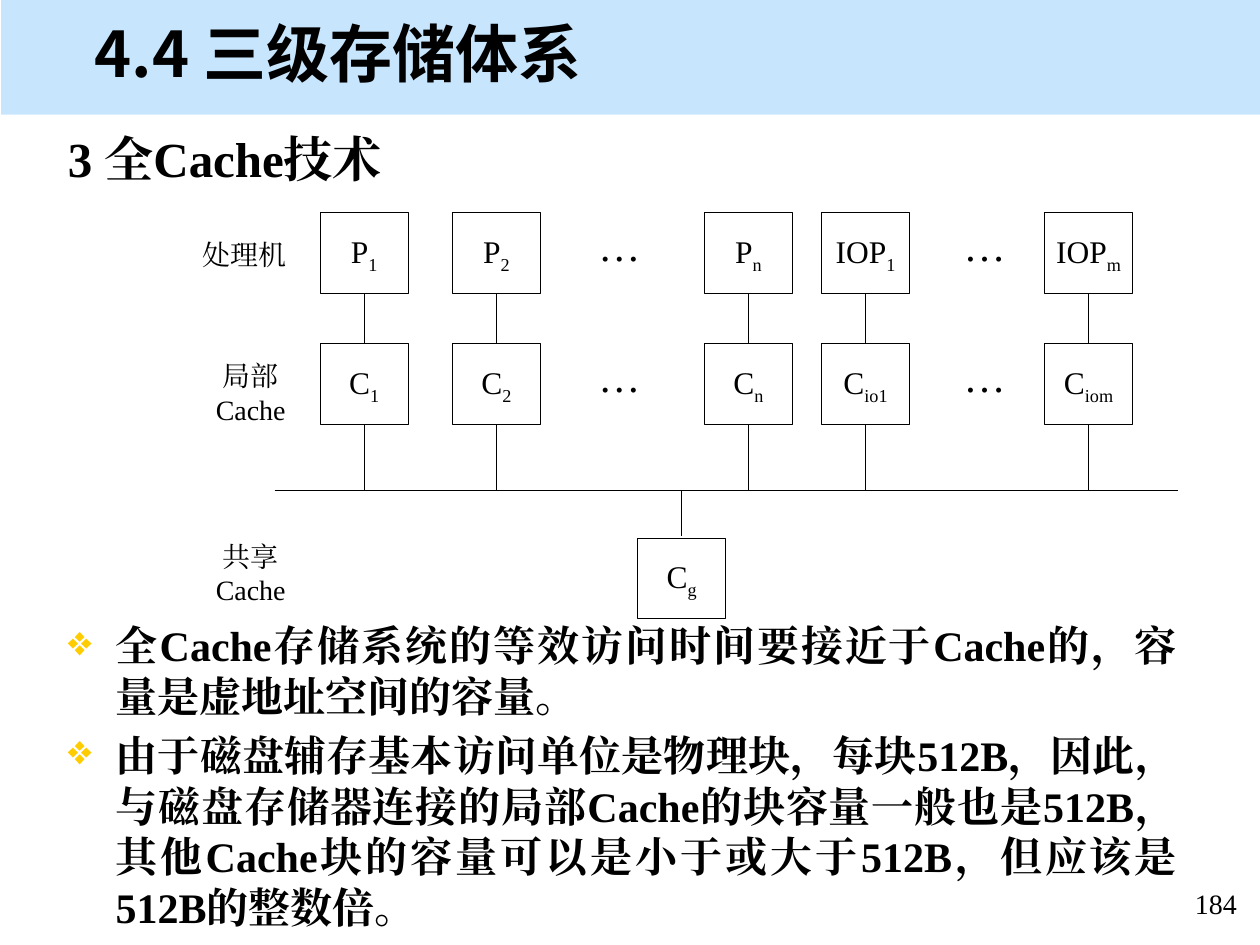
"""Build the slide on the all-cache technique in a three-level memory system."""
import pptx
import pptx.dml.color
import pptx.enum.lang
import pptx.enum.shapes
import pptx.enum.text
import pptx.oxml
import pptx.oxml.ns
import pptx.util
from pptx.util import Inches

SERIF = "Times New Roman"
SANS = "Noto Sans CJK SC"
ALIGN = pptx.enum.text.PP_ALIGN
ANCHOR = pptx.enum.text.MSO_ANCHOR
BOX_WIDTH, BOX_HEIGHT = 0.7, 0.64
PROCESSOR_TOP, CACHE_TOP, BUS_Y = 1.69, 2.73, 3.89
COLUMNS = [
    (2.54, "P_1", "C_1"),
    (3.59, "P_2", "C_2"),
    (5.59, "P_n", "C_n"),
    (6.52, "IOP_1", "C_io1"),
    (8.29, "IOP_m", "C_iom"),
]
POINTS = [
    "全Cache存储系统的等效访问时间要接近于Cache的，容量是虚地址空间的容量。",
    "由于磁盘辅存基本访问单位是物理块，每块512B，因此，与磁盘存储器连接的局部Cache的块容量一般也是512B，"
    "其他Cache块的容量可以是小于或大于512B，但应该是512B的整数倍。",
]


def color(value):
    """Return the colour for a hex string."""
    return pptx.dml.color.RGBColor.from_string(value)


def add_element(parent, tag, **attributes):
    """Append a DrawingML element to a parent."""
    element = pptx.oxml.parse_xml(f"<a:{tag} {pptx.oxml.ns.nsdecls('a')}/>")
    for name, value in attributes.items():
        element.set(name, value)
    parent.append(element)
    return element


def write(paragraph, text, size=18, font=SERIF, bold=False, align=ALIGN.LEFT):
    """Write text into a paragraph; an underscore starts a subscript."""
    paragraph.alignment = align
    for position, part in enumerate(text.split("_")):
        run = paragraph.add_run()
        run.text = part
        run.font.size = pptx.util.Pt(size)
        run.font.bold = bold
        run.font.name = font
        run.font.color.rgb = color("000000")
        run.font.language_id = pptx.enum.lang.MSO_LANGUAGE_ID.SIMPLIFIED_CHINESE
        properties = run._r.get_or_add_rPr()
        add_element(properties, "ea", typeface=font)
        if position:
            properties.set("baseline", "-25000")


def add_text(slide, left, top, width, height, text="", side_margin=0.1, **text_format):
    """Add a wrapping text box and return its frame."""
    shape = slide.shapes.add_textbox(Inches(left), Inches(top), Inches(width), Inches(height))
    frame = shape.text_frame
    frame.word_wrap = True
    frame.margin_left = frame.margin_right = Inches(side_margin)
    if text:
        write(frame.paragraphs[0], text, **text_format)
    return frame


def add_rectangle(slide, left, top, width, height):
    """Add a rectangle without a shadow."""
    shape = slide.shapes.add_shape(
        pptx.enum.shapes.MSO_SHAPE.RECTANGLE, Inches(left), Inches(top), Inches(width), Inches(height)
    )
    shape.shadow.inherit = False
    return shape


def add_unit(slide, left, top, label):
    """Add an outlined box for a processor or cache."""
    shape = add_rectangle(slide, left, top, BOX_WIDTH, BOX_HEIGHT)
    shape.fill.background()
    shape.line.color.rgb = color("000000")
    shape.line.width = pptx.util.Pt(0.5)
    frame = shape.text_frame
    frame.word_wrap = False
    frame.vertical_anchor = ANCHOR.MIDDLE
    write(frame.paragraphs[0], label, align=ALIGN.CENTER)


def add_line(slide, start_x, start_y, end_x, end_y):
    """Add a thin black line."""
    line = slide.shapes.add_connector(
        pptx.enum.shapes.MSO_CONNECTOR.STRAIGHT,
        Inches(start_x), Inches(start_y), Inches(end_x), Inches(end_y),
    )
    line.line.color.rgb = color("000000")
    line.line.width = pptx.util.Pt(0.5)
    add_element(line._element.spPr, "effectLst")


def add_header(slide):
    """Add the title on its band, behind which nothing else lies."""
    band = add_rectangle(slide, 0.01, 0, 9.99, 0.91)
    band.fill.solid()
    band.fill.fore_color.rgb = color("C7E6FD")
    band.line.fill.background()
    slide.shapes._spTree.insert(2, band._element)
    title = slide.shapes.title
    title.left, title.top = Inches(0.65), Inches(0.08)
    title.width, title.height = Inches(8.58), Inches(0.67)
    title.text_frame.vertical_anchor = ANCHOR.MIDDLE
    write(title.text_frame.paragraphs[0], "4.4 三级存储体系", size=36, font=SANS, bold=True)


def add_diagram(slide):
    """Add the processors, local caches, bus and shared cache."""
    add_text(slide, 1.39, 1.84, 0.98, 0.37, "处理机", size=16, align=ALIGN.RIGHT)
    for top, label in ((2.8, "局部Cache"), (4.23, "共享Cache")):
        add_text(slide, 1.64, top, 0.7, 0.64, label, side_margin=0, size=16, align=ALIGN.CENTER)
    for left, processor, cache in COLUMNS:
        center = left + BOX_WIDTH / 2
        add_unit(slide, left, PROCESSOR_TOP, processor)
        add_unit(slide, left, CACHE_TOP, cache)
        add_line(slide, center, PROCESSOR_TOP + BOX_HEIGHT, center, CACHE_TOP)
        add_line(slide, center, CACHE_TOP + BOX_HEIGHT, center, BUS_Y)
    for left in (4.64, 7.54):
        for top in (PROCESSOR_TOP, CACHE_TOP):
            add_text(slide, left, top, 0.54, 0.5, "…", size=24, align=ALIGN.RIGHT)
    add_line(slide, 2.18, BUS_Y, 9.35, BUS_Y)
    add_line(slide, 5.41, BUS_Y, 5.41, 4.25)
    add_unit(slide, 5.06, 4.27, "C_g")


def add_points(slide):
    """Add the bulleted conclusions."""
    frame = add_text(slide, 0.44, 4.87, 9, 2.5)
    for position, text in enumerate(POINTS):
        paragraph = frame.add_paragraph() if position else frame.paragraphs[0]
        paragraph.line_spacing = pptx.util.Pt(28.9)
        paragraph.space_before = pptx.util.Pt(4.8 if position else 0)
        properties = paragraph._p.get_or_add_pPr()
        properties.set("marL", str(Inches(0.38)))
        properties.set("indent", str(Inches(-0.38)))
        add_element(add_element(properties, "buClr"), "srgbClr", val="FFCC00")
        add_element(properties, "buChar", char="❖")
        write(paragraph, text, size=24, bold=True, align=ALIGN.JUSTIFY)


def main():
    """Build and save the presentation."""
    presentation = pptx.Presentation()
    presentation.slide_width, presentation.slide_height = Inches(10), Inches(7.5)
    slide = presentation.slides.add_slide(presentation.slide_layouts[5])
    add_header(slide)
    add_text(slide, 0.44, 0.97, 9, 0.6, "3 全Cache技术", size=28, bold=True)
    add_diagram(slide)
    add_points(slide)
    add_text(slide, 9.3, 6.99, 0.7, 0.33, "184", size=16, align=ALIGN.CENTER)
    presentation.save("out.pptx")


if __name__ == "__main__":
    main()
